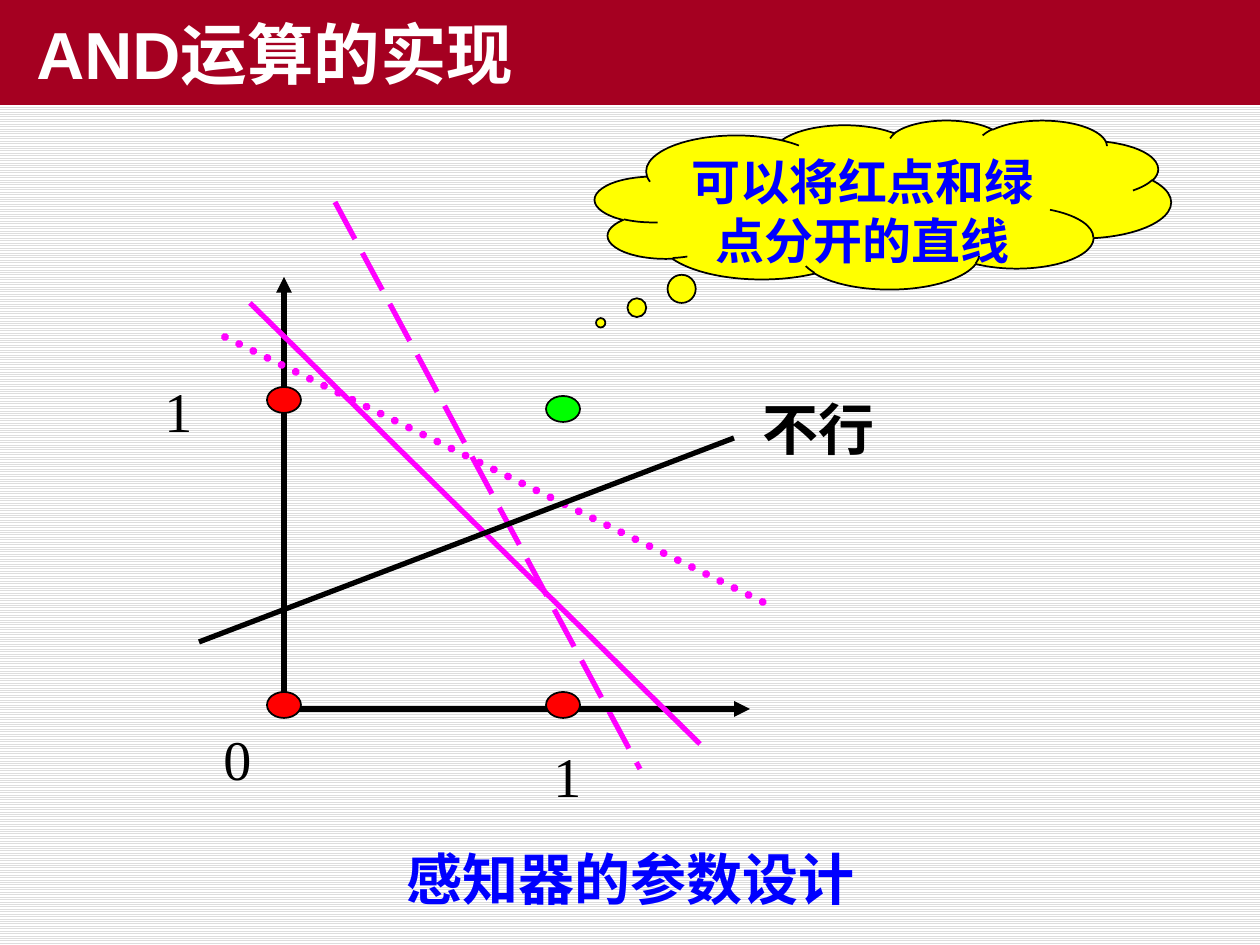
"""Slide on separating the points of the AND operation with straight lines."""
from lxml import etree
from pptx import Presentation
from pptx.dml.color import RGBColor
from pptx.enum.dml import MSO_LINE, MSO_PATTERN
from pptx.enum.shapes import MSO_CONNECTOR, MSO_SHAPE
from pptx.enum.text import MSO_ANCHOR, PP_ALIGN
from pptx.oxml.ns import qn
from pptx.util import Emu, Pt

STRAIGHT = MSO_CONNECTOR.STRAIGHT
ELLIPSE, CLOUD, RECT = MSO_SHAPE.OVAL, MSO_SHAPE.CLOUD_CALLOUT, MSO_SHAPE.RECTANGLE
LONG_DASH, DOTTED = MSO_LINE.LONG_DASH, MSO_LINE.ROUND_DOT
LEFT, CENTER = PP_ALIGN.LEFT, PP_ALIGN.CENTER
TOP, MIDDLE = MSO_ANCHOR.TOP, MSO_ANCHOR.MIDDLE

BLACK = RGBColor(0x00, 0x00, 0x00)
WHITE = RGBColor(0xFF, 0xFF, 0xFF)
STRIPE = RGBColor(0xDD, 0xDD, 0xDD)
CRIMSON = RGBColor(0xA5, 0x00, 0x21)
MAGENTA = RGBColor(0xFF, 0x00, 0xFF)
RED = RGBColor(0xFF, 0x00, 0x00)
GREEN = RGBColor(0x00, 0xFF, 0x00)
BLUE = RGBColor(0x00, 0x00, 0xFF)
YELLOW = RGBColor(0xFF, 0xFF, 0x00)

SERIF, SANS = "Times New Roman", "Arial"
PX = 914400 / 126
SLIDE = (1260, 945)
ORIGIN_X, ORIGIN_Y, UNIT_X = 284, 709, 563
DOT_W, DOT_H = 34, 26
LABEL_H = 81

# x1, y1, x2, y2, colour, points, dash, arrow
LINES = [
    (335, 202, 640, 769, MAGENTA, 3, LONG_DASH, False),
    (ORIGIN_X, ORIGIN_Y, 750, ORIGIN_Y, BLACK, 3, None, True),
    (ORIGIN_X, ORIGIN_Y, ORIGIN_X, 277, BLACK, 3, None, True),
    (UNIT_X, 701, UNIT_X, ORIGIN_Y, BLACK, 3, None, False),
    (ORIGIN_X, 404, 292, 404, BLACK, 3, None, False),
    (250, 303, 700, 744, MAGENTA, 3, None, False),
    (225, 337, 775, 608, MAGENTA, 4.5, DOTTED, False),
    (199, 642, 734, 438, BLACK, 3, None, False),
]
POINTS = [
    (ORIGIN_X, 400, RED),
    (UNIT_X, 705, RED),
    (ORIGIN_X, 705, RED),
    (UNIT_X, 409, GREEN),
]
# text, left, top, width, font, colour, bold, alignment
LABELS = [
    ("1", 504, 735, 127, SERIF, BLACK, False, CENTER),
    ("1", 115, 370, 127, SERIF, BLACK, False, CENTER),
    ("0", 174, 718, 127, SERIF, BLACK, False, CENTER),
    ("不行", 750, 388, 152, SERIF, BLACK, True, LEFT),
    ("感知器的参数设计", 323, 838, 615, SANS, BLUE, True, CENTER),
]
THOUGHT = "可以将红点和绿点分开的直线"
TITLE = "AND运算的实现"


def px(*lengths):
    return [Emu(round(length * PX)) for length in lengths]


def write(shape, text, size, font, colour, bold, align, anchor=TOP):
    frame = shape.text_frame
    frame.word_wrap = True
    frame.vertical_anchor = anchor
    paragraph = frame.paragraphs[0]
    paragraph.alignment = align
    run = paragraph.add_run()
    run.text = text
    run.font.size = Pt(size)
    run.font.name = font
    run.font.bold = bold
    run.font.color.rgb = colour
    return paragraph


def add_filled(slide, kind, box, fill, outlined=True):
    shape = slide.shapes.add_shape(kind, *px(*box))
    shape.shadow.inherit = False
    shape.fill.solid()
    shape.fill.fore_color.rgb = fill
    if outlined:
        shape.line.color.rgb = BLACK
        shape.line.width = Pt(1)
    else:
        shape.line.fill.background()
    return shape


def add_line(slide, x1, y1, x2, y2, colour, points, dash, arrow):
    connector = slide.shapes.add_connector(STRAIGHT, *px(x1, y1, x2, y2))
    line = connector.line
    line.color.rgb = colour
    line.width = Pt(points)
    if dash:
        line.dash_style = dash
    outline = line._get_or_add_ln()
    if dash == DOTTED:
        outline.set("cap", "rnd")
    if arrow:
        etree.SubElement(outline, qn("a:tailEnd"), type="triangle")
    etree.SubElement(connector._element.spPr, qn("a:effectLst"))


def main():
    deck = Presentation()
    deck.slide_width, deck.slide_height = px(*SLIDE)
    slide = deck.slides.add_slide(deck.slide_layouts[6])
    backdrop = slide.background.fill
    backdrop.patterned()
    backdrop.pattern = MSO_PATTERN.LIGHT_HORIZONTAL
    backdrop.fore_color.rgb = STRIPE
    backdrop.back_color.rgb = WHITE

    for line in LINES:
        add_line(slide, *line)
    for x, y, colour in POINTS:
        box = (x - DOT_W / 2, y - DOT_H / 2, DOT_W, DOT_H)
        add_filled(slide, ELLIPSE, box, colour)
    for text, left, top, width, font, colour, bold, align in LABELS:
        label = slide.shapes.add_textbox(*px(left, top, width, LABEL_H))
        write(label, text, 32, font, colour, bold, align)

    cloud = add_filled(slide, CLOUD, (595, 120, 576, 169), YELLOW)
    cloud.adjustments[0], cloud.adjustments[1] = -0.49, 0.7
    write(cloud, THOUGHT, 28, SANS, BLUE, True, CENTER)

    banner = add_filled(slide, RECT, (0, 0, SLIDE[0], 105), CRIMSON, outlined=False)
    heading = write(banner, TITLE, 38, SANS, WHITE, True, LEFT, MIDDLE)
    heading._p.get_or_add_pPr().set("indent", str(px(24)[0]))

    deck.save("out.pptx")


if __name__ == "__main__":
    main()
